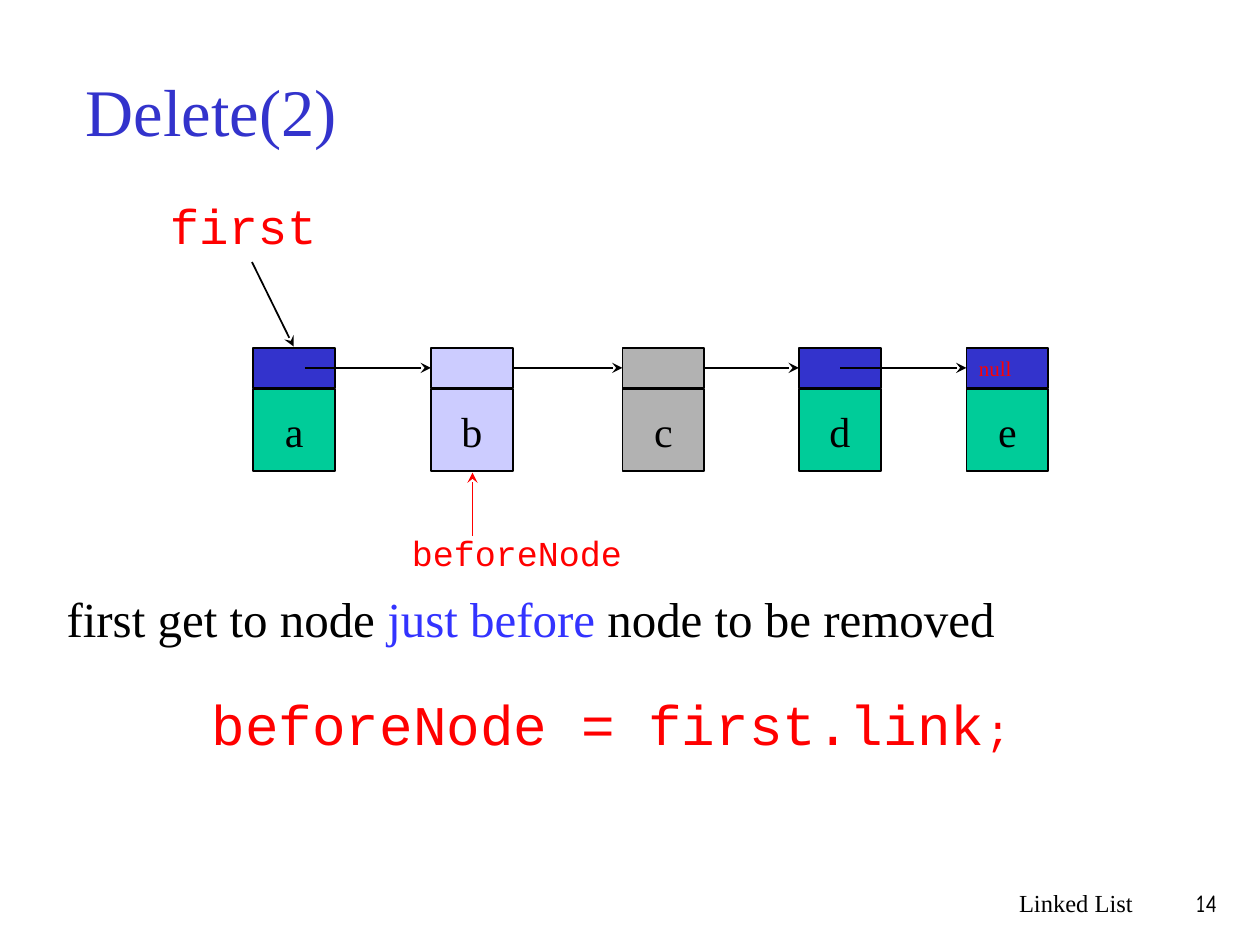
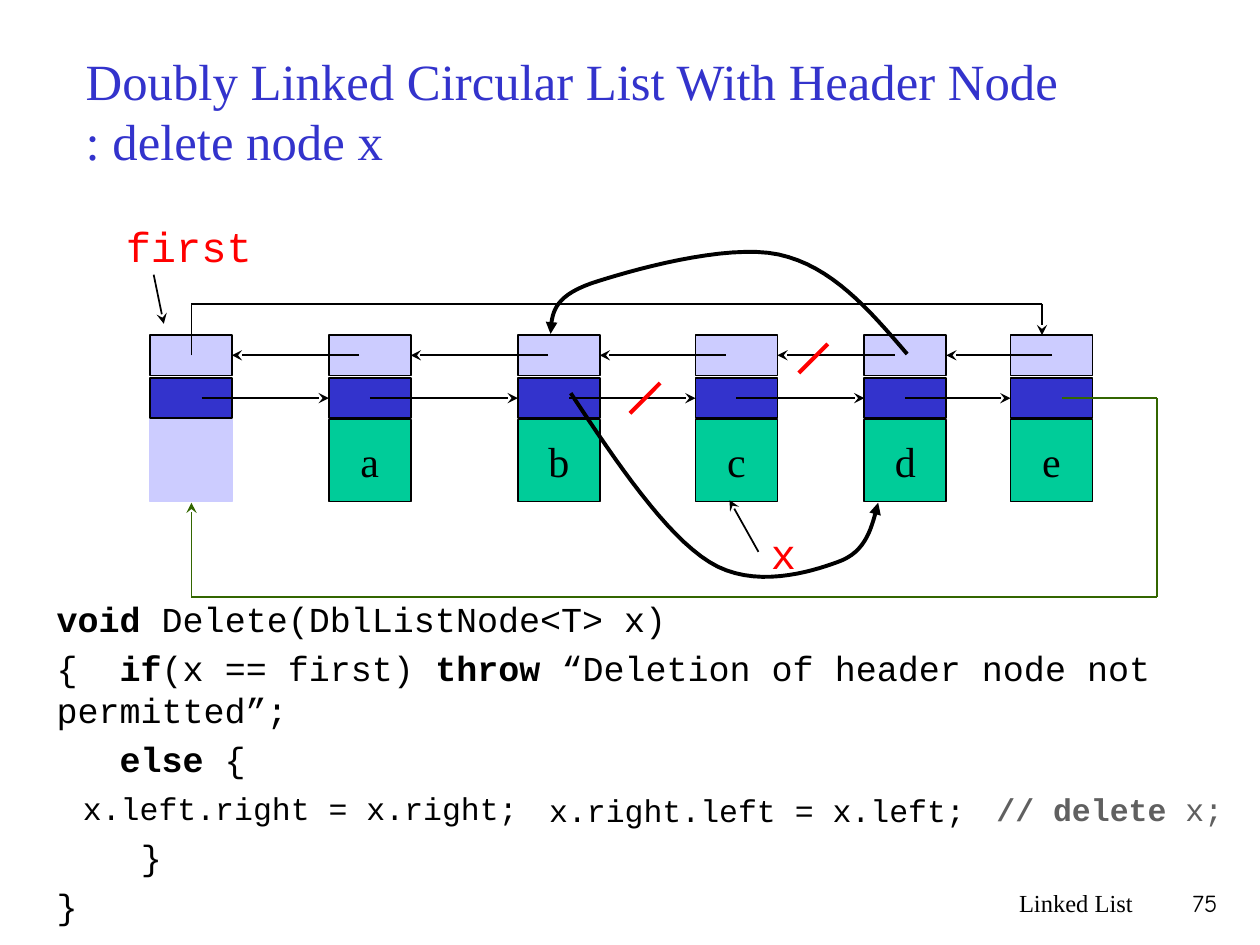
from dataclasses import dataclass
from itertools import pairwise

from lxml import etree
from pptx import Presentation
from pptx.dml.color import RGBColor
from pptx.enum.shapes import MSO_CONNECTOR, MSO_SHAPE
from pptx.enum.text import MSO_ANCHOR, PP_ALIGN
from pptx.oxml.ns import qn
from pptx.util import Inches, Pt

RECTANGLE = MSO_SHAPE.RECTANGLE
STRAIGHT = MSO_CONNECTOR.STRAIGHT
MIDDLE, TOP = MSO_ANCHOR.MIDDLE, MSO_ANCHOR.TOP
LEFT, CENTER, RIGHT = PP_ALIGN.LEFT, PP_ALIGN.CENTER, PP_ALIGN.RIGHT


@dataclass(frozen=True)
class Theme:
    serif: str = "Times New Roman"
    mono: str = "Courier New"
    number_font: str = "Comic Neue"
    black: RGBColor = RGBColor(0, 0, 0)
    red: RGBColor = RGBColor(255, 0, 0)
    blue: RGBColor = RGBColor(0x33, 0x33, 0xCC)
    bright_blue: RGBColor = RGBColor(0x33, 0x33, 0xFF)
    lavender: RGBColor = RGBColor(0xCC, 0xCC, 0xFF)
    teal: RGBColor = RGBColor(0, 0xCC, 0x99)
    gray: RGBColor = RGBColor(0xB2, 0xB2, 0xB2)
    comment: RGBColor = RGBColor(0x60, 0x60, 0x60)
    green: RGBColor = RGBColor(0x33, 0x66, 0)
    title_size: float = 38
    long_title_size: float = 29
    statement_size: float = 32
    body_size: float = 28
    node_size: float = 24
    code_size: float = 20
    snippet_size: float = 18
    footer_size: float = 14
    null_size: float = 12
    thin: float = 1
    thick: float = 2.25


theme = Theme()


def write(shape, text, size, font=theme.serif, color=theme.black, align=LEFT,
          anchor=TOP, before=0, indent=0, leading=None):
    frame = shape.text_frame
    frame.word_wrap = True
    frame.vertical_anchor = anchor
    paragraph = frame.paragraphs[0]
    if paragraph.runs:
        paragraph = frame.add_paragraph()
    paragraph.alignment = align
    paragraph.space_before = Pt(before)
    if leading:
        paragraph.line_spacing = Pt(leading)
    if indent:
        paragraph._p.get_or_add_pPr().set("marL", str(Inches(indent)))
    pieces = [(text, {})] if isinstance(text, str) else text
    for words, changes in pieces:
        for number, part in enumerate(words.split("\n")):
            if number:
                paragraph.add_line_break()
            run = paragraph.add_run()
            run.text = part
            run.font.name = font
            run.font.size = Pt(changes.get("size", size))
            run.font.bold = changes.get("bold", False)
            run.font.color.rgb = changes.get("color", color)


def stroke(shape, color=theme.black, width=theme.thin, head=None):
    shape.line.color.rgb = color
    shape.line.width = Pt(width)
    properties = shape._element.spPr
    if head:
        etree.SubElement(properties.find(qn("a:ln")), qn("a:tailEnd"), type=head)
    etree.SubElement(properties, qn("a:effectLst"))


presentation = Presentation()
presentation.slide_width = Inches(10)
presentation.slide_height = Inches(7.5)
title_only = presentation.slide_layouts[5]

side, field, gap = 0.65, 0.32, 0.33
bold = {"bold": True}

single_top, single_link = 2.76, 2.92
single_nodes = [
    ("a", 2.01, theme.blue, theme.teal),
    ("b", 3.42, theme.lavender, theme.lavender),
    ("c", 4.94, theme.gray, theme.gray),
    ("d", 6.34, theme.blue, theme.teal),
    ("e", 7.67, theme.blue, theme.teal),
]
single_cells = []
for letter, left, link_fill, data_fill in single_nodes:
    note = "null" if letter == "e" else ""
    single_cells += [
        (left, single_top + gap, side, data_fill, theme.black, letter),
        (left, single_top, field, link_fill, theme.black, note),
    ]
single_lines = [([(start, single_link), (end, single_link)], theme.black, theme.thin, "stealth")
                for start, end in [(2.42, 3.42), (4.07, 4.94), (5.59, 6.34), (6.67, 7.67)]]
single_lines += [
    ([(2, 2.08), (2.33, 2.75)], theme.black, theme.thin, "stealth"),
    ([(3.75, 4.25), (3.75, 3.75)], theme.red, theme.thin, "stealth"),
]
red_code = {"font": theme.mono, "color": theme.red, "before": 5}
single_texts = [
    ((1.25, 1.5, 1.83, 0.57), "first", {"size": theme.body_size, **red_code}),
    ((3.17, 4.17, 2, 0.43), "beforeNode", {"size": theme.code_size, **red_code}),
    ((0.43, 4.62, 9.25, 0.67),
     [("first get to node ", {}), ("just before ", {"color": theme.bright_blue}),
      ("node to be removed", {})], {"size": theme.body_size, "before": 4}),
    ((1.58, 5.42, 7, 0.75),
     [("beforeNode = first.link", {}), (";", {"size": theme.node_size})],
     {"size": theme.statement_size, **red_code}),
]

double_top, left_link, right_link = 2.66, 2.82, 3.16
double_nodes = [("", 1.19), ("a", 2.61), ("b", 4.11), ("c", 5.52), ("d", 6.86), ("e", 8.02)]
double_cells = []
for letter, left in double_nodes:
    data_fill, data_line = (theme.teal, theme.black) if letter else (theme.lavender, theme.lavender)
    double_cells += [
        (left, double_top + 2 * gap + 0.01, side, data_fill, data_line, letter),
        (left, double_top + gap + 0.01, field, theme.blue, theme.black, ""),
        (left, double_top, field, theme.lavender, theme.black, ""),
    ]
double_lines = []
for (_, left), (_, right) in pairwise(double_nodes):
    forward_start = left + (0.41 if left < 2 or left == 4.11 else side / 2)
    backward_start = right + (0.33 if right > 8 else 0.24)
    double_lines += [
        ([(forward_start, right_link), (right, right_link)], theme.black, theme.thin, "stealth"),
        ([(backward_start, left_link), (left + side, left_link)], theme.black, theme.thin, "stealth"),
    ]
double_lines += [
    ([(8.43, right_link), (9.18, right_link), (9.18, 4.74), (1.52, 4.74), (1.52, 3.99)],
     theme.green, theme.thin, "stealth"),
    ([(1.52, left_link), (1.52, 2.41), (8.27, 2.41), (8.27, 2.66)],
     theme.black, theme.thin, "stealth"),
    ([(1.22, 2.18), (1.3, 2.57)], theme.black, theme.thin, "stealth"),
    ([(6.02, 4.38), (5.79, 3.97)], theme.black, theme.thin, "stealth"),
    ([(5.24, 3.04), (5, 3.28)], theme.red, theme.thick, None),
    ([(6.57, 2.73), (6.34, 2.96)], theme.red, theme.thick, None),
]
double_curves = [
    [(4.53, 3.12), (4.9, 3.68), (5.28, 4.24), (5.63, 4.46), (5.98, 4.68),
     (6.43, 4.54), (6.65, 4.46), (6.88, 4.38), (6.92, 4.18), (6.97, 3.99)],
    [(7.2, 2.81), (6.9, 2.46), (6.6, 2.11), (6.18, 2.02), (5.76, 1.93),
     (4.99, 2.15), (4.69, 2.25), (4.38, 2.36), (4.38, 2.5), (4.37, 2.65)],
]
snippet = {"size": theme.snippet_size, "font": theme.mono, "before": 4}
double_texts = [
    ((0.9, 1.7, 1.83, 0.5), "first", {"size": theme.node_size, **red_code}),
    ((6.02, 4.14, 0.47, 0.5), "x", {"size": theme.node_size, **red_code}),
    ((0.56, 6.21, 5.59, 0.4), "x.left.right = x.right;", snippet),
    ((4.26, 6.23, 4.93, 0.4), "x.right.left = x.left;", snippet),
    ((7.81, 6.22, 2.03, 0.4), [("// delete ", bold), ("x;", {})],
     {**snippet, "color": theme.comment}),
]

slides = [
    ("Delete(2)", theme.title_size, "14", single_cells, single_lines, [], single_texts),
    ("Doubly Linked Circular List With Header Node\n: delete node x", theme.long_title_size,
     "75", double_cells, double_lines, double_curves, double_texts),
]

for title, title_size, page, cells, lines, curves, texts in slides:
    slide = presentation.slides.add_slide(title_only)
    heading = slide.shapes.title
    heading.left, heading.top, heading.width, heading.height = map(Inches, (0.58, 0.25, 8.5, 1.25))
    write(heading, title, title_size, color=theme.blue, anchor=MIDDLE)

    for left, top, height, fill, outline, label in cells:
        cell = slide.shapes.add_shape(RECTANGLE, *map(Inches, (left, top, side, height)))
        cell.fill.solid()
        cell.fill.fore_color.rgb = fill
        stroke(cell, color=outline)
        if label == "null":
            write(cell, label, theme.null_size, color=theme.red, anchor=MIDDLE)
        elif label:
            write(cell, label, theme.node_size, align=CENTER, anchor=MIDDLE)

    for points, color, width, head in lines:
        segments = list(pairwise(points))
        for segment in segments:
            start, end = segment
            connector = slide.shapes.add_connector(STRAIGHT, *map(Inches, start + end))
            stroke(connector, color, width, head if segment == segments[-1] else None)

    for controls in curves:
        points = [controls[0]]
        for first in range(0, len(controls) - 1, 3):
            quad = controls[first:first + 4]
            for step in range(1, 17):
                t = step / 16
                weights = ((1 - t) ** 3, 3 * t * (1 - t) ** 2, 3 * t * t * (1 - t), t ** 3)
                points.append(tuple(sum(weight * point[axis] for weight, point in zip(weights, quad))
                                    for axis in (0, 1)))
        points = [(Inches(x), Inches(y)) for x, y in points]
        builder = slide.shapes.build_freeform(*points[0])
        builder.add_line_segments(points[1:], close=False)
        curve = builder.convert_to_shape()
        curve.fill.background()
        stroke(curve, width=theme.thick, head="triangle")

    texts = texts + [
        ((5.92, 7, 3.17, 0.5), "Linked List", {"size": theme.footer_size, "align": RIGHT}),
        ((9.08, 7, 0.68, 0.5), page,
         {"size": theme.footer_size, "font": theme.number_font, "align": RIGHT}),
    ]
    for box, text, style in texts:
        write(slide.shapes.add_textbox(*map(Inches, box)), text, **style)

listing = slide.shapes.add_textbox(*map(Inches, (0.35, 4.69, 9.49, 2.79)))
code_lines = [
    ([("void ", bold), ("Delete(DblListNode<T> x)", {})], 0, 4),
    ([("{  ", {}), ("if", bold), ("(x == first) ", {}), ("throw", bold),
      (" “Deletion of header node not permitted”;", {})], 0, 4),
    ([("else", bold), (" {", {})], 0.5, 4),
    ("}", 0.67, 32),
    ("}", 0, 4),
]
for text, indent, before in code_lines:
    write(listing, text, theme.code_size, font=theme.mono, before=before, indent=indent, leading=24)

presentation.save("out.pptx")
